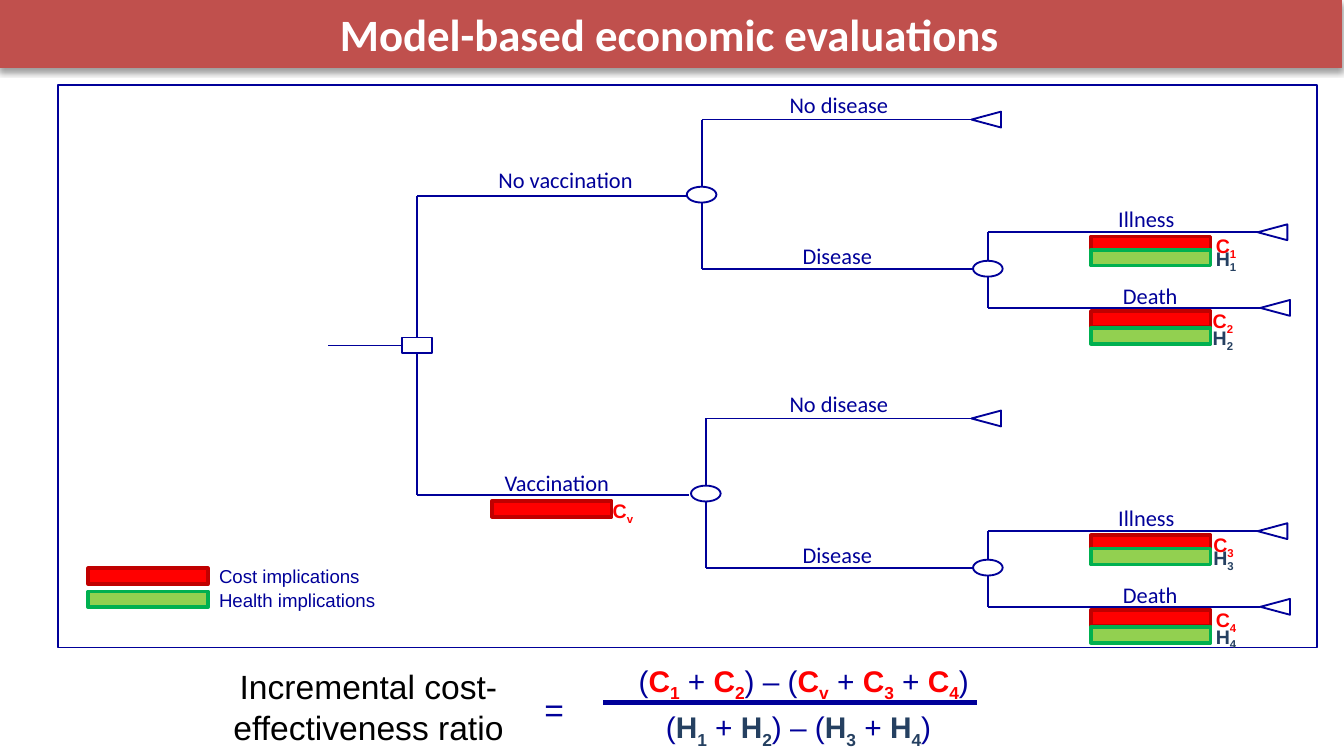
from lxml import etree
from pptx import Presentation
from pptx.dml.color import RGBColor
from pptx.enum.shapes import MSO_CONNECTOR, MSO_SHAPE
from pptx.enum.text import MSO_ANCHOR, PP_ALIGN
from pptx.oxml import parse_xml
from pptx.oxml.ns import nsdecls, qn
from pptx.util import Cm, Pt

RECTANGLE = MSO_SHAPE.RECTANGLE
ELLIPSE = MSO_SHAPE.OVAL
TRIANGLE = MSO_SHAPE.ISOSCELES_TRIANGLE
STRAIGHT = MSO_CONNECTOR.STRAIGHT
LEFT, CENTER = PP_ALIGN.LEFT, PP_ALIGN.CENTER
MIDDLE = MSO_ANCHOR.MIDDLE
TOP_SIDE, LEFT_SIDE, BOTTOM_SIDE = 0, 1, 2

COLOURS = {
    "navy": "000099", "white": "FFFFFF", "black": "000000", "title": "C0504D",
    "cost": "FF0000", "cost edge": "C00000",
    "health": "92D050", "health edge": "00B050", "health text": "254061",
}
SYMBOL_COLOURS = {"C": "cost", "H": "health text"}

NODE_WIDTH, NODE_HEIGHT = 0.56, 0.3
BAR_WIDTH, BAR_HEIGHT = 2.26, 0.3
HALF_SHIFT = 5.65  # from the "No vaccination" half down to the "Vaccination" half


def colour(name):
    return RGBColor.from_string(COLOURS[name])


def write_text(shape, text, size=12, font="Calibri", ink="navy", bold=False, align=CENTER):
    """Pieces are parted by "|"; a piece such as C_1 is a bold symbol with a subscript."""
    text_frame = shape.text_frame
    text_frame.word_wrap = True
    paragraph = text_frame.paragraphs[0]
    paragraph.alignment = align
    for piece in text.split("|"):
        base, _, subscript = piece.partition("_")
        for part in filter(None, (base, subscript)):
            run = paragraph.add_run()
            run.text = part
            run.font.size = Pt(size)
            run.font.name = font
            run.font.bold = bold or bool(subscript)
            run.font.color.rgb = colour(SYMBOL_COLOURS[base] if subscript else ink)
        if subscript:
            run.font._element.set("baseline", "-25000")


class TreeSlide:
    """Holds the slide and the common line style; all lengths are centimetres."""

    def __init__(self, slide, line="navy", width=1):
        self.slide, self.line, self.width = slide, line, width

    def shape(self, kind, left, top, width, height, fill="white", line=None, line_width=None):
        shape = self.slide.shapes.add_shape(kind, Cm(left), Cm(top), Cm(width), Cm(height))
        shape.shadow.inherit = False
        shape.fill.solid()
        shape.fill.fore_color.rgb = colour(fill)
        shape.line.color.rgb = colour(line or self.line)
        shape.line.width = Pt(line_width or self.width)
        return shape

    def connector(self, x1, y1, x2, y2, width=None):
        connector = self.slide.shapes.add_connector(STRAIGHT, Cm(x1), Cm(y1), Cm(x2), Cm(y2))
        connector.line.color.rgb = colour(self.line)
        connector.line.width = Pt(width or self.width)
        etree.SubElement(connector._element.spPr, qn("a:effectLst"))
        return connector

    def text(self, text, left, top, width, height=0.76, **text_format):
        box = self.slide.shapes.add_textbox(Cm(left), Cm(top), Cm(width), Cm(height))
        write_text(box, text, **text_format)

    def chance_node(self, x, y):
        self.shape(ELLIPSE, x - NODE_WIDTH / 2, y - NODE_HEIGHT / 2, NODE_WIDTH, NODE_HEIGHT)

    def end_node(self, x, y):
        triangle = self.shape(TRIANGLE, x - NODE_HEIGHT / 2, y - NODE_WIDTH / 2,
                              NODE_HEIGHT, NODE_WIDTH)
        triangle.rotation = 270

    def fork(self, x, y, top, bottom):
        """Vertical stubs from a chance node to its two branches."""
        self.connector(x, y - NODE_HEIGHT / 2, x, top)
        self.connector(x, y + NODE_HEIGHT / 2, x, bottom)

    def bar(self, kind, left, top):
        self.shape(RECTANGLE, left, top, BAR_WIDTH, BAR_HEIGHT, kind, f"{kind} edge", 2)

    def symbol(self, text, left, top):
        self.text(text, left, top, 2, 0.7, size=10.5, font="Arial", align=LEFT)

    def outcome(self, number, label_x, y, cost_gap, health_gap):
        """Cost and health bars below a final branch."""
        for kind, letter, gap in (("cost", "C", cost_gap), ("health", "H", health_gap)):
            self.bar(kind, 20.62, y + gap)
            self.symbol(f"{letter}_{number}", label_x, y + gap - 0.17)

    def half(self, shift, node_x, first_number, label_xs):
        """One arm of the tree, from its chance node to the end nodes."""
        node_y, healthy_y, disease_y = 3.68 + shift, 2.26 + shift, 5.08 + shift
        illness_y, death_y = 4.39 + shift, 5.82 + shift
        second_x = 18.67

        self.connector(7.88, 3.71 + shift, 13.03, 3.71 + shift)
        self.chance_node(node_x, node_y)
        self.fork(node_x, node_y, healthy_y, disease_y)
        self.connector(node_x, healthy_y, 18.4, healthy_y)
        self.end_node(18.64, healthy_y)
        self.connector(node_x, disease_y, 18.4, disease_y)

        self.chance_node(second_x, disease_y)
        self.fork(second_x, disease_y, illness_y, death_y)
        for y, end_x in ((illness_y, 24.05), (death_y, 24.1)):
            self.connector(second_x, y, end_x - 0.28, y)
            self.end_node(end_x, y)

        self.text("No disease", 13.33, 1.6 + shift, 5.05)
        self.text("Disease", 13.3, 4.45 + shift, 5.05)
        self.text("Illness", 18.54, 3.76 + shift, 6.25)
        self.text("Death", 18.97, 5.21 + shift, 5.54)
        self.outcome(first_number, label_xs[0], illness_y, 0.08, 0.33)
        self.outcome(first_number + 1, label_xs[1], death_y, 0.06, 0.38)


def main():
    presentation = Presentation()
    presentation.slide_width, presentation.slide_height = Cm(25.4), Cm(14.29)
    slide = presentation.slides.add_slide(presentation.slide_layouts[6])
    tree = TreeSlide(slide)

    # Frame and decision node
    tree.shape(RECTANGLE, 1.09, 1.6, 23.8, 10.64)
    decision = tree.shape(RECTANGLE, 7.6, 6.38, NODE_WIDTH, NODE_HEIGHT)
    tree.connector(6.2, 6.53, 7.6, 6.53).end_connect(decision, LEFT_SIDE)
    tree.connector(7.88, 6.38, 7.88, 3.71).begin_connect(decision, TOP_SIDE)
    tree.connector(7.88, 6.68, 7.88, 3.71 + HALF_SHIFT).begin_connect(decision, BOTTOM_SIDE)

    # Two arms of the tree
    tree.half(0, 13.26, 1, (22.73, 22.67))
    tree.half(HALF_SHIFT, 13.34, 3, (22.68, 22.73))
    tree.text("No vaccination", 7.92, 3.02, 5.54)
    tree.text("Vaccination", 8, 8.74, 5.05)
    tree.bar("cost", 9.3, 9.47)
    tree.symbol("C_v", 11.33, 9.3)

    # Legend
    for kind, top in (("cost", 10.74), ("health", 11.18)):
        tree.bar(kind, 1.67, top)
        tree.text(f"{kind.title()} implications", 3.89, top - 0.18, 6.22, 0.69,
                  size=10, font="Arial", align=LEFT)

    # Ratio formula
    tree.text("Incremental cost-effectiveness ratio", 3.61, 12.47, 6.71, 1.8,
              size=18, font="Arial", ink="black")
    tree.text("=", 9.88, 12.9, 1.19, 1.02, size=18, font="Arial")
    tree.connector(11.4, 13.28, 18.47, 13.28, 2.25)
    tree.text("(|C_1| + |C_2|) – (|C_v| + |C_3| + |C_4|)", 10.16, 12.4, 10.06, 0.94,
              size=16, font="Arial")
    tree.text("(|H_1| + |H_2|) – (|H_3| + |H_4|)", 10.06, 13.28, 10.06, 0.94,
              size=16, font="Arial")

    # Title band with a soft shadow below
    title = tree.shape(RECTANGLE, -0.05, 0, 25.4, 1.28, "title", "title", 0.75)
    title.text_frame.vertical_anchor = MIDDLE
    write_text(title, "Model-based economic evaluations", size=24, ink="white", bold=True)
    title._element.spPr.find(qn("a:effectLst")).append(parse_xml(
        f'<a:outerShdw {nsdecls("a")} blurRad="40000" dist="20000" dir="5400000" rotWithShape="0">'
        '<a:srgbClr val="000000"><a:alpha val="38000"/></a:srgbClr></a:outerShdw>'))

    presentation.save("out.pptx")


if __name__ == "__main__":
    main()
